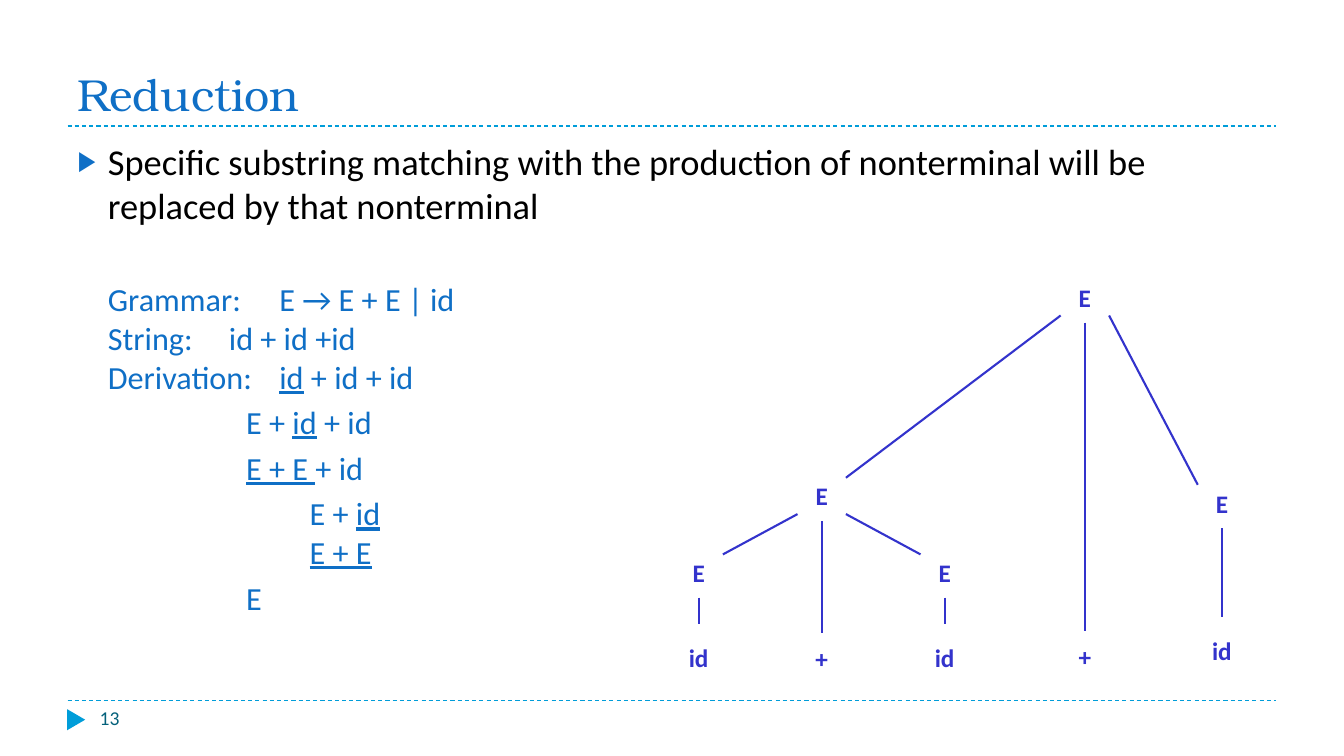
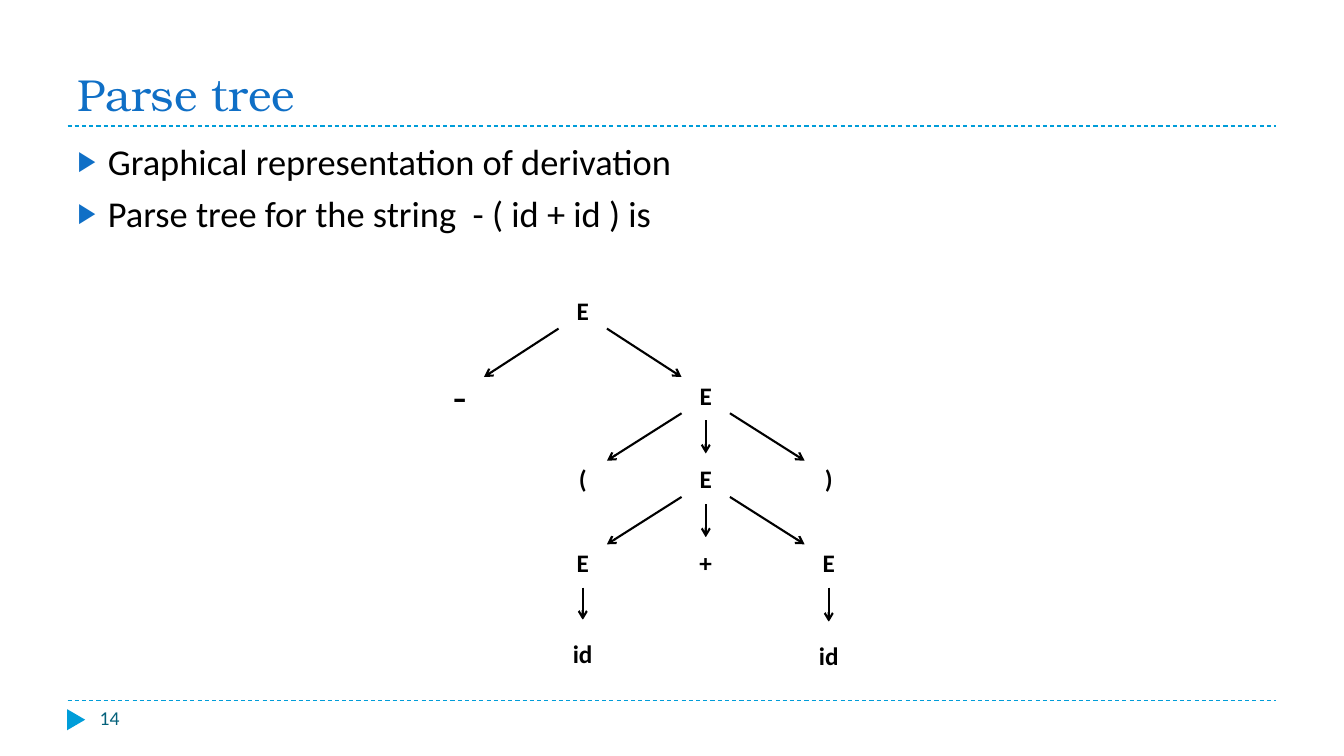
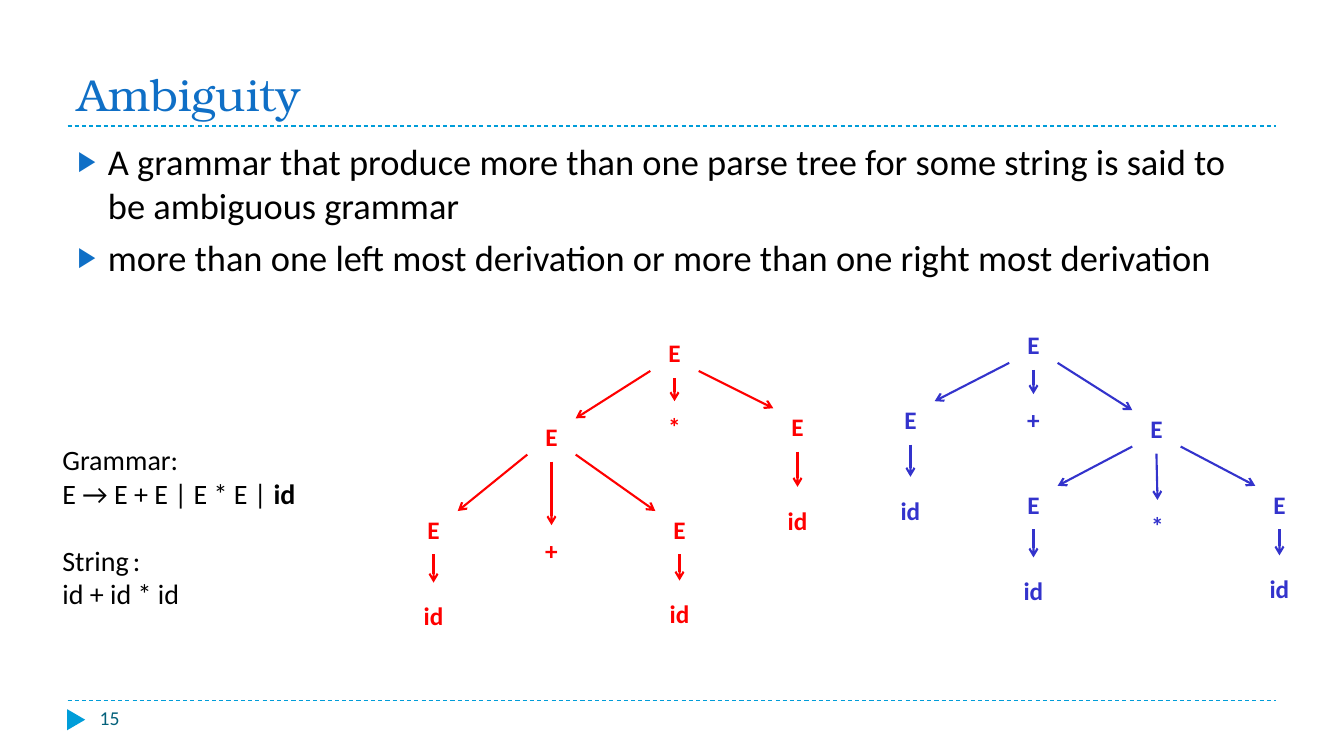
from dataclasses import dataclass
from typing import Optional

from lxml.etree import SubElement
from pptx import Presentation
from pptx.dml.color import RGBColor as RGB
from pptx.enum.dml import MSO_LINE
from pptx.enum.shapes import MSO_CONNECTOR, MSO_SHAPE as Form
from pptx.enum.text import MSO_ANCHOR as Anchor, MSO_AUTO_SIZE as Fit, PP_ALIGN as Align
from pptx.oxml.ns import qn
from pptx.util import Pt

BLUE = RGB(0x0F, 0x6F, 0xC6)
CYAN = RGB(0x00, 0x9D, 0xD9)
TEAL = RGB(0x04, 0x61, 0x7B)
INDIGO = RGB(0x33, 0x33, 0xCC)
RED = RGB(0xFF, 0x00, 0x00)
BLACK = RGB(0x00, 0x00, 0x00)
WHITE = RGB(0xFF, 0xFF, 0xFF)

SERIF, SANS = "TeX Gyre Bonum", "Calibri"
WIDE, HIGH = 1333, 750
TITLE = (67, 17, 1200, 108)
BODY = (67, 133, 1200, 540)
RULES = (125, 695)
DENT = 30
GAP = 122  # sideways step between neighbouring tree nodes


@dataclass
class Pen:
    ink: RGB
    arrow: bool = True
    fill: Optional[RGB] = None


def px(*nums):
    """Turn px, 100 to the inch, into EMU."""
    return [round(num * 9144) for num in nums]


def style(font, size, ink, face=SANS):
    font.size, font.name = Pt(size), face
    font.color.rgb = ink


def place(shape, box):
    shape.left, shape.top, shape.width, shape.height = px(*box)


def link(shapes, ends, ink, width, arrow=False):
    line = shapes.add_connector(MSO_CONNECTOR.STRAIGHT, *px(*ends))
    line.line.color.rgb, line.line.width = ink, Pt(width)
    props = line.element.spPr
    if arrow:
        SubElement(props.find(qn("a:ln")), qn("a:tailEnd"), type="arrow")
    SubElement(props, qn("a:effectLst"))
    return line


def frame(layout, slide):
    """Set the layout's boxes, then draw its rules and marker and move them there."""
    for hold, box in zip(layout.placeholders, (TITLE, BODY)):
        place(hold, box)
    parts = []
    for y in RULES:
        rule = link(slide.shapes, (67, y, 1266, y), CYAN, 0.75)
        rule.line.dash_style = MSO_LINE.DASH
        parts.append(rule)
    mark = slide.shapes.add_shape(Form.ISOSCELES_TRIANGLE, *px(65, 705, 21, 18))
    mark.rotation = 90
    mark.shadow.inherit = False
    mark.fill.solid()
    mark.fill.fore_color.rgb = CYAN
    mark.line.fill.background()
    for num, part in enumerate(parts + [mark], 20):
        part.element.xpath(".//p:cNvPr")[0].set("id", str(num))
        layout.shapes.element.append(part.element)


def head(slide, text, page):
    frm = slide.shapes.title.text_frame
    frm.text, frm.vertical_anchor, frm.auto_size = text, Anchor.BOTTOM, Fit.NONE
    para = frm.paragraphs[0]
    para.alignment = Align.LEFT
    style(para.runs[0].font, 32, BLUE, SERIF)
    foot = slide.shapes.add_textbox(*px(89, 695, 289, 40)).text_frame
    foot.text = str(page)
    style(foot.paragraphs[0].runs[0].font, 14, TEAL)


def margin(para, left, first):
    props = para._p.get_or_add_pPr()
    for key, val in zip(("marL", "indent"), px(left, first)):
        props.set(key, str(val))
    return props


def points(slide, texts):
    """Fill the body with bulleted paragraphs and return its text frame."""
    frm = slide.placeholders[1].text_frame
    frm.text, frm.auto_size = "\n".join(texts), Fit.NONE
    for num, para in enumerate(frm.paragraphs):
        props = margin(para, DENT, -DENT)
        tint = SubElement(props, qn("a:buClr"))
        SubElement(tint, qn("a:srgbClr"), val=str(BLUE))
        SubElement(props, qn("a:buSzPct"), val="76000")
        SubElement(props, qn("a:buChar"), char="▶")
        para.space_before = Pt(6 if num else 0)
        style(para.runs[0].font, 26, BLACK)
    return frm


def row(para, text, size, ink, mark, dent=DENT, tab=0, gap=0):
    """Write one plain line; parts between underscores get the marked style."""
    props = margin(para, 0, dent)
    SubElement(props, qn("a:buNone"))
    if tab:
        stops = SubElement(props, qn("a:tabLst"))
        SubElement(stops, qn("a:tab"), pos=str(px(tab)[0]), algn="l")
    para.space_before = Pt(gap)
    for num, part in enumerate(text.split("_")):
        if part:
            run = para.add_run()
            run.text = part
            style(run.font, size, ink)
            if num % 2:
                setattr(run.font, mark, True)


def node(shapes, text, x, y, pen):
    wide, high = (94, 67) if text == "id" else (67, 50)
    oval = shapes.add_shape(Form.OVAL, *px(x - wide / 2, y - high / 2, wide, high))
    oval.shadow.inherit = False
    oval.line.fill.background()
    if pen.fill is None:
        oval.fill.background()
    else:
        oval.fill.solid()
        oval.fill.fore_color.rgb = pen.fill
    frm = oval.text_frame
    frm.text, frm.word_wrap, frm.vertical_anchor = text, False, Anchor.MIDDLE
    para = frm.paragraphs[0]
    para.alignment = Align.CENTER
    font = para.runs[0].font
    style(font, 32 if text == "-" else 18, pen.ink)
    font.bold = text != "-"


def grow(shapes, text, kids, x, y, pen):
    """Draw a node at its centre; each kid is (text, dx, dy, *kids)."""
    node(shapes, text, x, y, pen)
    for name, dx, dy, *more in kids:
        kx, ky = x + dx, y + dy
        if abs(dx) < 2:
            ends = x, y + 25, kx, ky - (33 if name == "id" else 25)
        else:
            side = 24 if dx > 0 else -24
            ends = x + side, y + 18, kx - side, ky - 18
        link(shapes, ends, pen.ink, 1.5, pen.arrow)
        grow(shapes, name, more, kx, ky, pen)


def tree(slide, x, y, kids, pen):
    grow(slide.shapes.add_group_shape().shapes, "E", kids, x, y, pen)


def reduction(slide):
    frm = points(slide, ["Specific substring matching with the production of "
                         "nonterminal will be replaced by that nonterminal"])
    for text, dent, tab, gap in (
            ("Grammar:\tE → E + E | id", DENT, 230, 38),
            ("String:\tid + id +id", DENT, 130, 0),
            ("Derivation:\t_id_ + id + id", DENT, 230, 0),
            ("E + _id_ + id", 167, 0, 5),
            ("_E + E _+ id", 167, 0, 5),
            ("E + _id_", 230, 0, 5),
            ("_E + E_", 230, 0, 0),
            ("E", 167, 0, 5)):
        row(frm.add_paragraph(), text, 23, BLUE, "underline", dent, tab, gap)
    tree(slide, 1076, 295, [
        ("E", -261, 197,
         ("E", -GAP, 76, ("id", 0, 84)),
         ("+", 0, 161),
         ("E", GAP, 76, ("id", 0, 84))),
        ("+", 0, 356),
        ("E", 136, 204, ("id", 0, 146))], Pen(INDIGO, arrow=False))


def parsing(slide):
    points(slide, ["Graphical representation of derivation",
                   "Parse tree for the string  - ( id + id ) is"])
    tree(slide, 578, 308, [
        ("-", -GAP, 84),
        ("E", GAP, 84,
         ("(", -GAP, 83),
         ("E", 0, 83,
          ("E", -GAP, 83, ("id", 0, 90)),
          ("+", 0, 83),
          ("E", GAP, 83, ("id", 0, 92))),
         (")", GAP, 83))], Pen(BLACK, fill=WHITE))


def ambiguity(slide):
    points(slide, ["A grammar that produce more than one parse tree for some "
                   "string is said to be ambiguous grammar",
                   "more than one left most derivation or more than one "
                   "right most derivation"])
    tree(slide, 1025, 342, [
        ("E", -GAP, 74, ("id", 0, 90)),
        ("+", 0, 74),
        ("E", GAP, 83,
         ("E", -GAP, 75, ("id", 0, 86)),
         ("*", 1, 96),
         ("E", GAP, 75, ("id", 0, 84)))], Pen(INDIGO))
    tree(slide, 669, 350, [
        ("E", -GAP, 83,
         ("E", -117, 92, ("id", 0, 86)),
         ("+", 0, 113),
         ("E", 127, 92, ("id", 0, 84))),
        ("*", 0, 73),
        ("E", GAP, 73, ("id", 0, 93))], Pen(RED))
    frm = slide.shapes.add_textbox(*px(22, 434, 292, 178)).text_frame
    frm.word_wrap = True
    for num, (text, gap) in enumerate((
            ("Grammar:", 0),
            ("E → E + E | E * E | _id_", 0),
            ("String\t:", 24),
            ("id + id * id", 0))):
        para = frm.add_paragraph() if num else frm.paragraphs[0]
        row(para, text, 20, BLACK, "bold", tab=130, gap=gap)


def main():
    prs = Presentation()
    prs.slide_width, prs.slide_height = px(WIDE, HIGH)
    layout = prs.slide_layouts[1]
    pages = (("Reduction", reduction), ("Parse tree", parsing), ("Ambiguity", ambiguity))
    for page, (title, fill) in enumerate(pages, 13):
        slide = prs.slides.add_slide(layout)
        if page == 13:
            frame(layout, slide)
        head(slide, title, page)
        fill(slide)
    prs.save("out.pptx")


if __name__ == "__main__":
    main()
